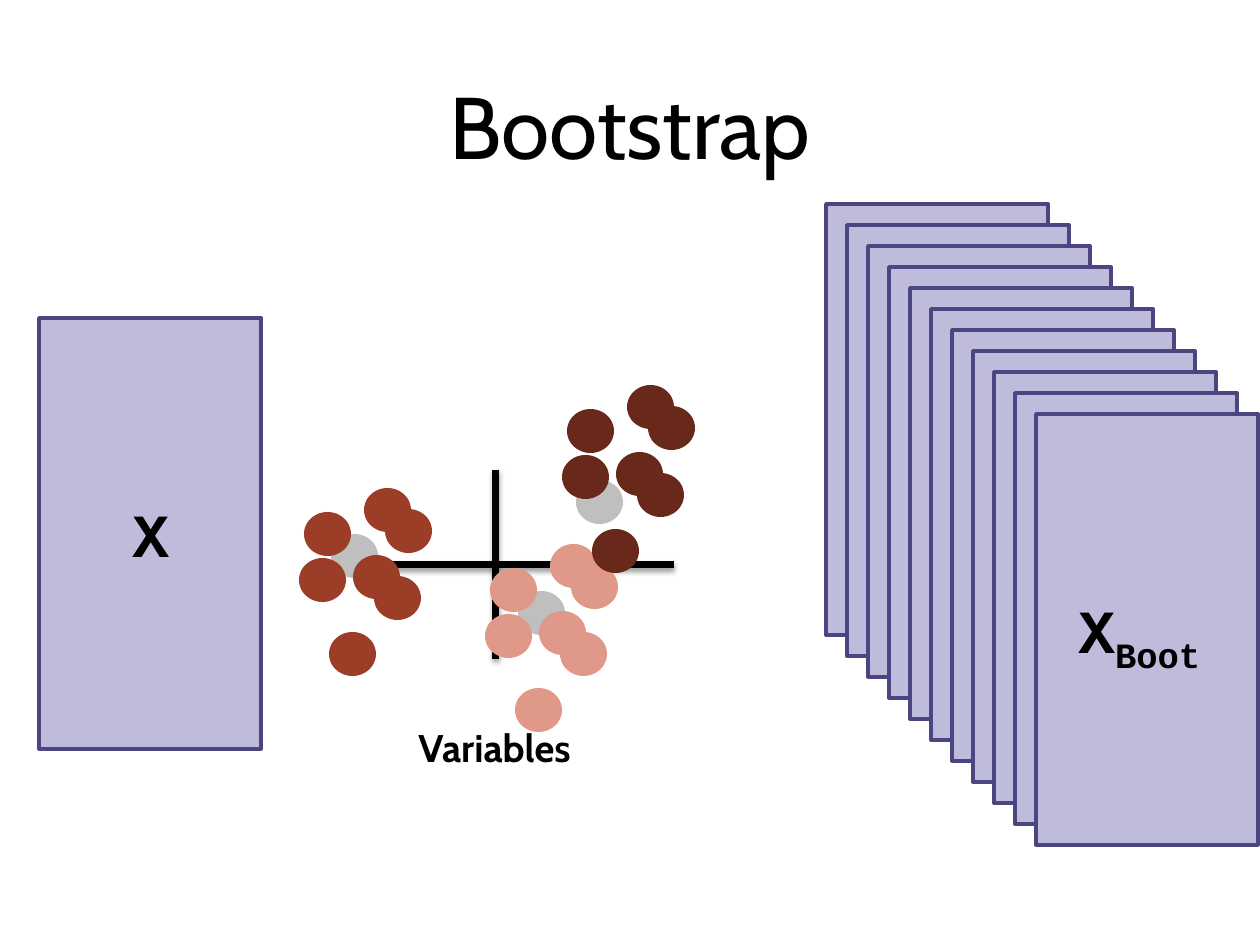
from typing import NamedTuple

from lxml.etree import SubElement
from pptx import Presentation
from pptx.dml.color import RGBColor
from pptx.enum.shapes import MSO_CONNECTOR, MSO_SHAPE
from pptx.enum.text import MSO_ANCHOR, MSO_AUTO_SIZE, PP_ALIGN
from pptx.oxml.ns import qn
from pptx.util import Emu, Pt

SCALE = 914400 / 126
BLACK, GREY = "000000", "BFBFBF"
CARD_FILL, CARD_LINE = "BFBBDB", "4B4582"
STACK, STEP = 11, 21


class Box(NamedTuple):
    left: int
    top: int
    width: int
    height: int


class Group(NamedTuple):
    left: int
    top: int
    color: str


class Label(NamedTuple):
    box: Box
    text: str
    font: str
    size: int
    sub: str = ""


GROUPS = [Group(616, 452, "68291B"), Group(539, 611, "E09888"), Group(353, 555, "9C3D28")]
OFFSETS = [(0, 0), (21, 21), (-49, -43), (11, -67), (32, -46), (-54, 3), (-24, 77)]
MEANS = [(576, 480), (518, 591), (331, 534)]
AXES = [(496, 470, 496, 659), (317, 565, 674, 565)]
LABELS = [
    Label(Box(120, 490, 63, 87), "X", "Courier New", 35),
    Label(Box(1066, 586, 161, 87), "X", "Courier New", 35, "Boot"),
    Label(Box(406, 718, 181, 59), "Variables", "Cabin", 22),
]


def px(n: int) -> Emu:
    return Emu(round(n * SCALE))


def rgb(code: str) -> RGBColor:
    return RGBColor.from_string(code)


def style(font, name: str, size: int, bold: bool) -> None:
    for key, value in {"name": name, "size": Pt(size), "bold": bold}.items():
        setattr(font, key, value)
    font.color.rgb = rgb(BLACK)


def add_card(slide, left: int, top: int) -> None:
    card = slide.shapes.add_shape(MSO_SHAPE.RECTANGLE, *map(px, Box(left, top, 222, 431)))
    card.shadow.inherit = False
    card.fill.solid()
    card.fill.fore_color.rgb = rgb(CARD_FILL)
    card.line.color.rgb = rgb(CARD_LINE)
    card.line.width = Pt(2)


def add_dot(slide, left: int, top: int, color: str) -> None:
    dot = slide.shapes.add_shape(MSO_SHAPE.OVAL, *map(px, Box(left, top, 47, 44)))
    dot.shadow.inherit = False
    dot.fill.solid()
    dot.fill.fore_color.rgb = rgb(color)
    dot.line.fill.background()


def add_axis(slide, ends: tuple[int, int, int, int]) -> None:
    """Draw a thick black line with a soft shadow below it."""
    axis = slide.shapes.add_connector(MSO_CONNECTOR.STRAIGHT, *map(px, ends))
    axis.line.color.rgb = rgb(BLACK)
    axis.line.width = Pt(4)
    effects = SubElement(axis.element.spPr, qn("a:effectLst"))
    shadow = SubElement(effects, qn("a:outerShdw"), blurRad=str(Pt(3.1)),
                        dist=str(Pt(1.6)), dir="5400000", rotWithShape="0")
    tint = SubElement(shadow, qn("a:srgbClr"), val=BLACK)
    SubElement(tint, qn("a:alpha"), val="38000")


def add_label(slide, label: Label) -> None:
    frame = slide.shapes.add_textbox(*map(px, label.box)).text_frame
    frame.word_wrap = False
    frame.auto_size = MSO_AUTO_SIZE.SHAPE_TO_FIT_TEXT
    para = frame.paragraphs[0]
    for text, base in ((label.text, 0), (label.sub, -25000)):
        if text:
            run = para.add_run()
            run.text = text
            style(run.font, label.font, label.size, True)
            if base:
                run.font._element.set("baseline", str(base))


def set_title(slide, text: str) -> None:
    title = slide.shapes.title
    for key, value in Box(63, 63, 1134, 157)._asdict().items():
        setattr(title, key, px(value))
    frame = title.text_frame
    form = {"text": text, "vertical_anchor": MSO_ANCHOR.TOP, "margin_top": px(9),
            "word_wrap": True, "auto_size": MSO_AUTO_SIZE.NONE}
    for key, value in form.items():
        setattr(frame, key, value)
    para = frame.paragraphs[0]
    para.alignment = PP_ALIGN.CENTER
    style(para.runs[0].font, "Cabin", 50, False)


def main() -> None:
    deck = Presentation()
    deck.slide_width, deck.slide_height = px(1260), px(945)
    slide = deck.slides.add_slide(deck.slide_layouts[5])
    set_title(slide, "Bootstrap")
    add_card(slide, 39, 318)
    for i in range(STACK):
        add_card(slide, 826 + i * STEP, 204 + i * STEP)
    for ends in AXES:
        add_axis(slide, ends)
    for left, top in MEANS:
        add_dot(slide, left, top, GREY)
    for dx, dy in OFFSETS:
        for group in GROUPS:
            add_dot(slide, group.left + dx, group.top + dy, group.color)
    for label in LABELS:
        add_label(slide, label)
    deck.save("out.pptx")


if __name__ == "__main__":
    main()
